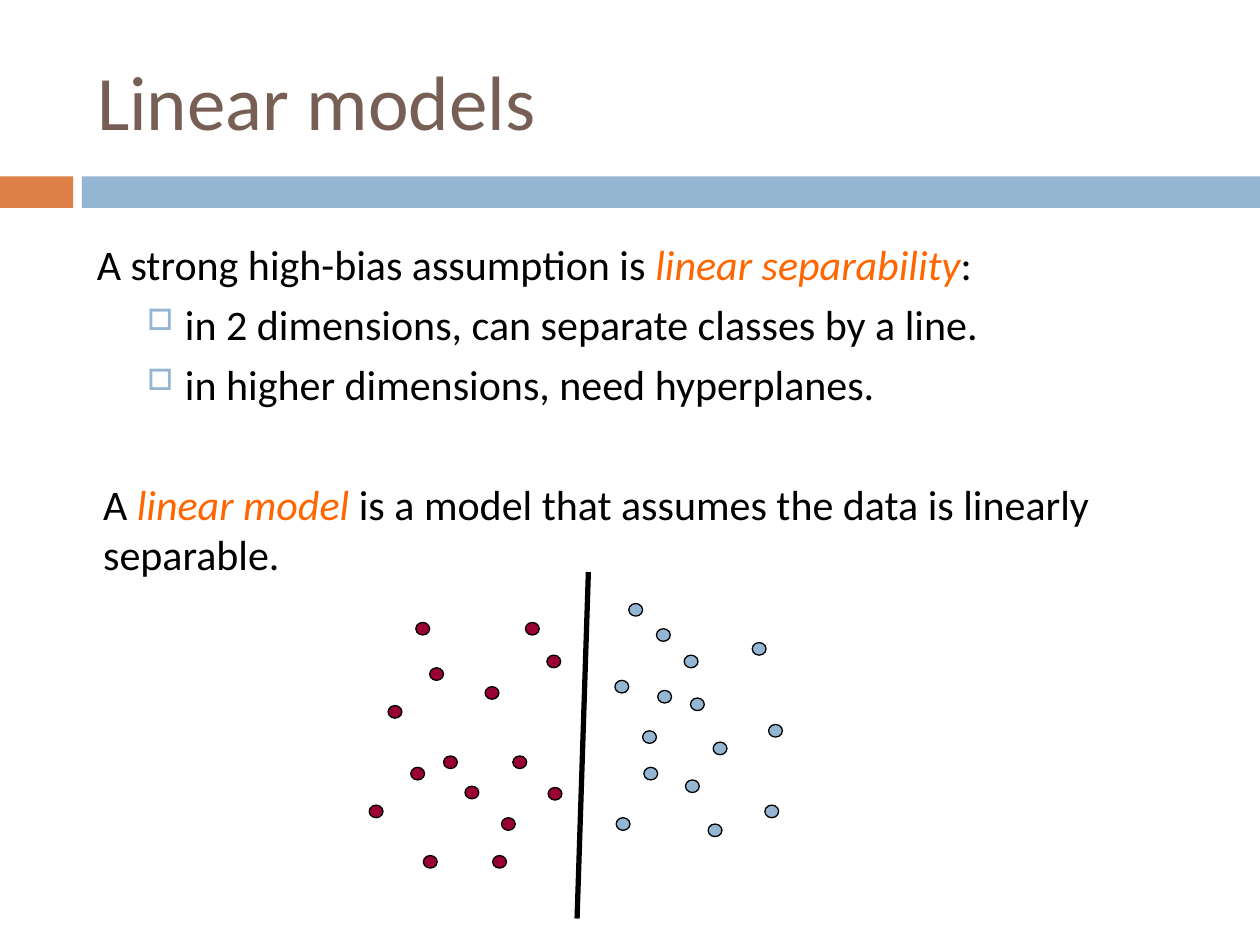
"""Build the slide that introduces linear models and linear separability."""
from typing import NamedTuple

from lxml.etree import SubElement
from pptx import Presentation
from pptx.dml.color import RGBColor
from pptx.enum.shapes import MSO_CONNECTOR, MSO_SHAPE
from pptx.enum.text import MSO_ANCHOR, PP_ALIGN
from pptx.oxml.ns import qn
from pptx.util import Inches, Pt

BLACK = RGBColor(0x00, 0x00, 0x00)
BROWN = RGBColor(0x77, 0x5F, 0x55)
ORANGE = RGBColor(0xDD, 0x80, 0x47)
BLUE = RGBColor(0x94, 0xB6, 0xD2)
HIGHLIGHT = RGBColor(0xFF, 0x66, 0x00)
CRIMSON = RGBColor(0x99, 0x00, 0x33)
FONT = "Calibri"


class Band(NamedTuple):
    left: float
    width: float
    color: RGBColor


class Statement(NamedTuple):
    before: str
    term: str = ""
    after: str = ""
    gap: float = 0
    margin: float = 0
    bulleted: bool = False


class DataClass(NamedTuple):
    color: RGBColor
    points: list[tuple[float, float]]


BANDS = [Band(0, 0.58, ORANGE), Band(0.65, 9.35, BLUE)]

STATEMENTS = [
    Statement("A strong high-bias assumption is ", "linear separability", ":"),
    Statement("in 2 dimensions, can separate classes by a line.",
              gap=5.5, margin=0.7, bulleted=True),
    Statement("in higher dimensions, need hyperplanes.",
              gap=5.5, margin=0.7, bulleted=True),
    Statement("A ", "linear model ",
              "is a model that assumes the data is linearly separable.",
              gap=40, margin=0.05),
]

DATA_CLASSES = [
    DataClass(CRIMSON, [
        (3.3, 4.94), (3.41, 5.3), (3.52, 6), (4.17, 4.94), (3.08, 5.6),
        (3.85, 5.45), (4.34, 5.2), (4.07, 6), (3.26, 6.09), (3.36, 6.79),
        (2.93, 6.39), (3.69, 6.24), (3.91, 6.79), (4.35, 6.25), (3.98, 6.49),
    ]),
    DataClass(BLUE, [
        (4.88, 5.4), (4.99, 4.79), (5.1, 5.8), (5.21, 4.99), (5.97, 5.1),
        (5.43, 5.2), (5.11, 6.09), (5.22, 5.48), (4.89, 6.49), (5.48, 5.54),
        (6.1, 5.75), (5.66, 5.89), (5.44, 6.19), (6.07, 6.39), (5.62, 6.54),
    ]),
]


def add_band(slide, band: Band) -> None:
    bar = slide.shapes.add_shape(MSO_SHAPE.RECTANGLE, Inches(band.left), Inches(1.4),
                                 Inches(band.width), Inches(0.25))
    bar.shadow.inherit = False
    bar.fill.solid()
    bar.fill.fore_color.rgb = band.color
    bar.line.fill.background()


def set_title(slide, wording: str) -> None:
    title = slide.shapes.title
    title.left, title.top = Inches(0.67), Inches(0.25)
    title.width, title.height = Inches(8.92), Inches(1.08)
    title.text_frame.text = wording
    title.text_frame.vertical_anchor = MSO_ANCHOR.MIDDLE
    heading = title.text_frame.paragraphs[0]
    heading.alignment = PP_ALIGN.LEFT
    heading.font.name = FONT
    heading.font.size = Pt(44)
    heading.font.color.rgb = BROWN


def add_bullet(properties) -> None:
    properties.set("indent", str(Inches(-0.3)))
    color = SubElement(properties, qn("a:buClr"))
    SubElement(color, qn("a:srgbClr"), val=str(BLUE))
    SubElement(properties, qn("a:buSzPct"), val="70000")
    SubElement(properties, qn("a:buChar"), char="□")


def write_statement(paragraph, statement: Statement) -> None:
    properties = paragraph._p.get_or_add_pPr()
    properties.set("marL", str(Inches(statement.margin)))
    if statement.bulleted:
        paragraph.level = 1
        add_bullet(properties)
    if statement.gap:
        paragraph.space_before = Pt(statement.gap)
    paragraph.font.name = FONT
    paragraph.font.size = Pt(24)
    for wording in filter(None, (statement.before, statement.term, statement.after)):
        run = paragraph.add_run()
        run.text = wording
        is_term = wording == statement.term
        run.font.italic = is_term
        run.font.color.rgb = HIGHLIGHT if is_term else BLACK


def add_statements(slide, statements: list[Statement]) -> None:
    body = slide.shapes.add_textbox(Inches(0.67), Inches(1.84),
                                    Inches(8.5), Inches(1.75)).text_frame
    body.word_wrap = True
    for index, statement in enumerate(statements):
        paragraph = body.add_paragraph() if index else body.paragraphs[0]
        write_statement(paragraph, statement)


def add_points(slide, data_class: DataClass) -> None:
    for left, top in data_class.points:
        point = slide.shapes.add_shape(MSO_SHAPE.OVAL, Inches(left), Inches(top),
                                       Inches(0.11), Inches(0.1))
        point.shadow.inherit = False
        point.fill.solid()
        point.fill.fore_color.rgb = data_class.color
        point.line.color.rgb = BLACK
        point.line.width = Pt(0.75)


def add_separator(slide) -> None:
    separator = slide.shapes.add_connector(MSO_CONNECTOR.STRAIGHT, Inches(4.67),
                                           Inches(4.54), Inches(4.58), Inches(7.29))
    separator.line.color.rgb = BLACK
    separator.line.width = Pt(3)
    SubElement(separator._element.spPr, qn("a:effectLst"))


def main() -> None:
    presentation = Presentation()
    presentation.slide_width, presentation.slide_height = Inches(10), Inches(7.5)
    slide = presentation.slides.add_slide(presentation.slide_layouts[5])
    for band in BANDS:
        add_band(slide, band)
    set_title(slide, "Linear models")
    add_statements(slide, STATEMENTS)
    for data_class in DATA_CLASSES:
        add_points(slide, data_class)
    add_separator(slide)
    presentation.save("out.pptx")


if __name__ == "__main__":
    main()
